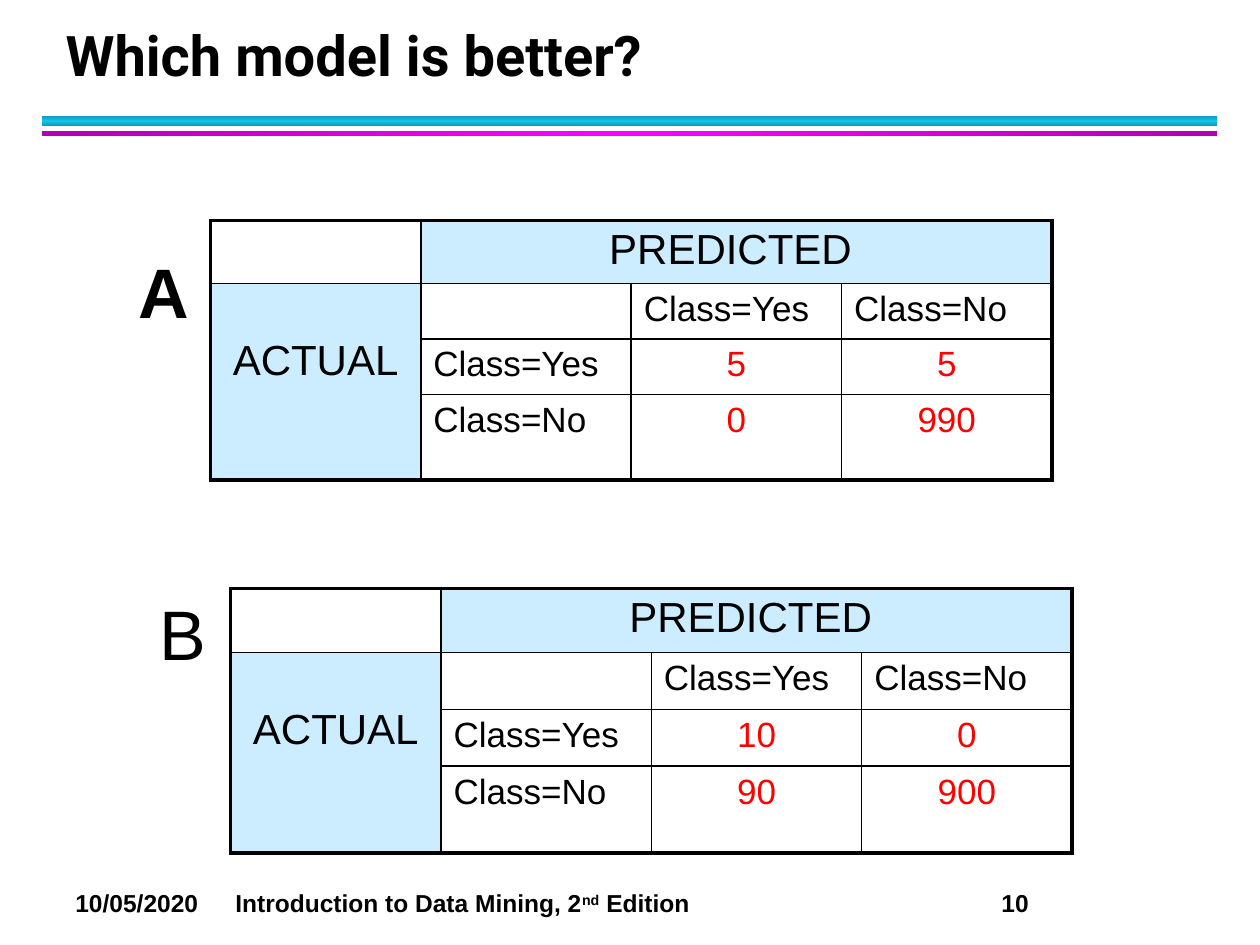
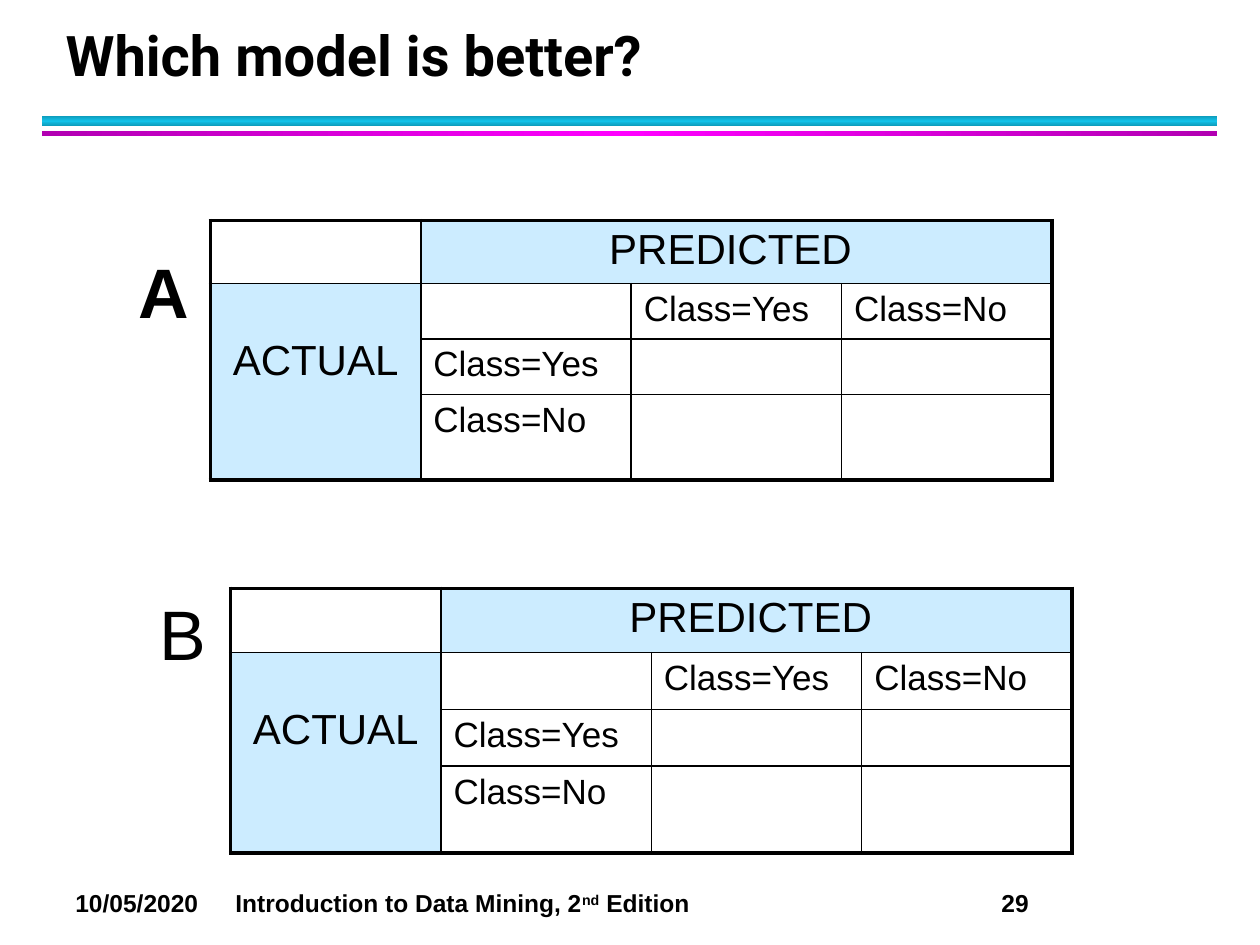
from pptx import Presentation
from pptx.dml.color import RGBColor
from pptx.enum.shapes import MSO_SHAPE as Shape
from pptx.enum.text import MSO_ANCHOR as Anchor, MSO_AUTO_SIZE as Fit, PP_ALIGN as Align
from pptx.oxml import parse_xml
from pptx.oxml.ns import nsdecls
from pptx.util import Inches, Pt

BLACK, WHITE, RED, PALE = "000000", "FFFFFF", "FF0000", "CCECFF"
CYAN = ("0E9BBA", "12C2E9", "0E9BBA")
PINK = ("B200B2", "FF00FF", "B200B2")
THIN, THICK = 1, 2.25
SIDE = 1.67


def rgb(code):
    """Turn a hex string into a colour."""
    return RGBColor.from_string(code)


def style(thing, **vals):
    """Set each named attribute on an object."""
    for name, val in vals.items():
        setattr(thing, name, val)


def write(para, text, size, color=BLACK, font="Arial", bold=False):
    """Add a formatted run to a paragraph."""
    run = para.add_run()
    run.text = text
    style(run.font, name=font, size=Pt(size), bold=bold)
    run.font.color.rgb = rgb(color)
    return run


def add_box(slide, left, top, width, height, wrap=False):
    """Add a text box and return its first paragraph."""
    box = slide.shapes.add_textbox(*map(Inches, (left, top, width, height)))
    box.text_frame.word_wrap = wrap
    return box.text_frame.paragraphs[0]


def add_band(slide, top, height, colors, angle):
    """Draw a full-width bar with a three-stop gradient."""
    bar = slide.shapes.add_shape(
        Shape.RECTANGLE, *map(Inches, (0.33, top, 9.33, height)))
    stops = "".join(
        f'<a:gs pos="{i * 50000}"><a:srgbClr val="{code}"/></a:gs>'
        for i, code in enumerate(colors))
    bar._element.spPr.append(parse_xml(
        f'<a:gradFill {nsdecls("a")} rotWithShape="1"><a:gsLst>{stops}</a:gsLst>'
        f'<a:lin ang="{angle * 60000}" scaled="0"/></a:gradFill>'))
    bar.line.fill.background()
    bar.shadow.inherit = False


def add_title(slide, text):
    """Place and fill the title."""
    title = slide.shapes.title
    style(title, left=Inches(0.42), top=Inches(0.17),
          width=Inches(9.06), height=Inches(0.58))
    style(title.text_frame, auto_size=Fit.NONE, vertical_anchor=Anchor.BOTTOM)
    para = title.text_frame.paragraphs[0]
    style(para, alignment=Align.LEFT, line_spacing=Pt(36))
    write(para, text, 32, font="Roboto", bold=True)


def add_footer(slide, page):
    """Write date, book and page number on tab stops."""
    para = add_box(slide, 0.5, 7, 9.33, 0.34, wrap=True)
    tabs = "".join(f'<a:tab pos="{Inches(pos)}" algn="l"/>' for pos in (1.27, 7.35))
    para._p.get_or_add_pPr().append(
        parse_xml(f'<a:tabLst {nsdecls("a")}>{tabs}</a:tabLst>'))
    write(para, "10/05/2020\tIntroduction to Data Mining, 2", 14, bold=True)
    power = write(para, "nd", 14, bold=True)
    power._r.get_or_add_rPr().set("baseline", "30000")
    write(para, f" Edition\t{page}", 14, bold=True)


def add_edges(cell, row, col):
    """Rule a cell: thick on the table's rim, thin inside."""
    high = cell.span_height if cell.is_merge_origin else 1
    wide = cell.span_width if cell.is_merge_origin else 1
    rim = {"L": col == 0, "R": col + wide == 4, "T": row == 0, "B": row + high == 4}
    props = cell._tc.get_or_add_tcPr()
    for side, outer in rim.items():
        if outer or not cell.is_spanned:
            props.append(parse_xml(
                f'<a:ln{side} {nsdecls("a")} w="{Pt(THICK if outer else THIN)}">'
                f'<a:solidFill><a:srgbClr val="{BLACK}"/></a:solidFill></a:ln{side}>'))


def fill_cell(cell, text, size, color, mid):
    """Write the text of one cell."""
    para = cell.text_frame.paragraphs[0]
    para.alignment = Align.CENTER if mid else Align.LEFT
    write(para, text, size, color)


def add_matrix(slide, left, top, rows, counts):
    """Add a confusion matrix, with counts where given."""
    frame = slide.shapes.add_table(
        4, 4, *map(Inches, (left, top, 4 * SIDE, sum(rows))))
    table = frame.table
    style(table, first_row=False, horz_banding=False)
    for col in table.columns:
        col.width = Inches(SIDE)
    for row, height in zip(table.rows, rows):
        row.height = Inches(height)
    table.cell(0, 1).merge(table.cell(0, 3))
    table.cell(1, 0).merge(table.cell(3, 0))
    for r in range(4):
        for c in range(4):
            cell = table.cell(r, c)
            add_edges(cell, r, c)
            cell.fill.solid()
            cell.fill.fore_color.rgb = rgb(PALE if (r == 0) != (c == 0) else WHITE)
    fill_cell(table.cell(0, 1), "PREDICTED ", 24, BLACK, True)
    fill_cell(table.cell(1, 0), "ACTUAL", 24, BLACK, True)
    table.cell(1, 0).margin_top = Inches(0.43)
    for i, name in enumerate(("Class=Yes", "Class=No"), 2):
        fill_cell(table.cell(1, i), name, 20, BLACK, False)
        fill_cell(table.cell(i, 1), name, 20, BLACK, False)
    for r, line in enumerate(counts, 2):
        for c, count in enumerate(line, 2):
            fill_cell(table.cell(r, c), str(count), 20, RED, True)


def add_page(deck, page, first=(), second=()):
    """Build a slide that compares models A and B."""
    slide = deck.slides.add_slide(deck.slide_layouts[5])
    add_band(slide, 0.92, 0.08, CYAN, 90)
    add_band(slide, 1.04, 0.04, PINK, 0)
    add_footer(slide, page)
    add_title(slide, "Which model is better?")
    add_matrix(slide, 1.67, 1.75, (0.5, 0.44, 0.44, 0.68), first)
    add_matrix(slide, 1.83, 4.67, (0.51, 0.45, 0.45, 0.69), second)
    write(add_box(slide, 1, 1.92, 0.61, 0.77), "A", 40, bold=True)
    write(add_box(slide, 1.17, 4.64, 0.58, 0.77), "B", 40)


def main():
    """Build and save the deck."""
    deck = Presentation()
    style(deck, slide_width=Inches(10), slide_height=Inches(7.5))
    add_page(deck, 10, ((5, 5), (0, 990)), ((10, 0), (90, 900)))
    add_page(deck, 29)
    deck.save("out.pptx")


if __name__ == "__main__":
    main()
